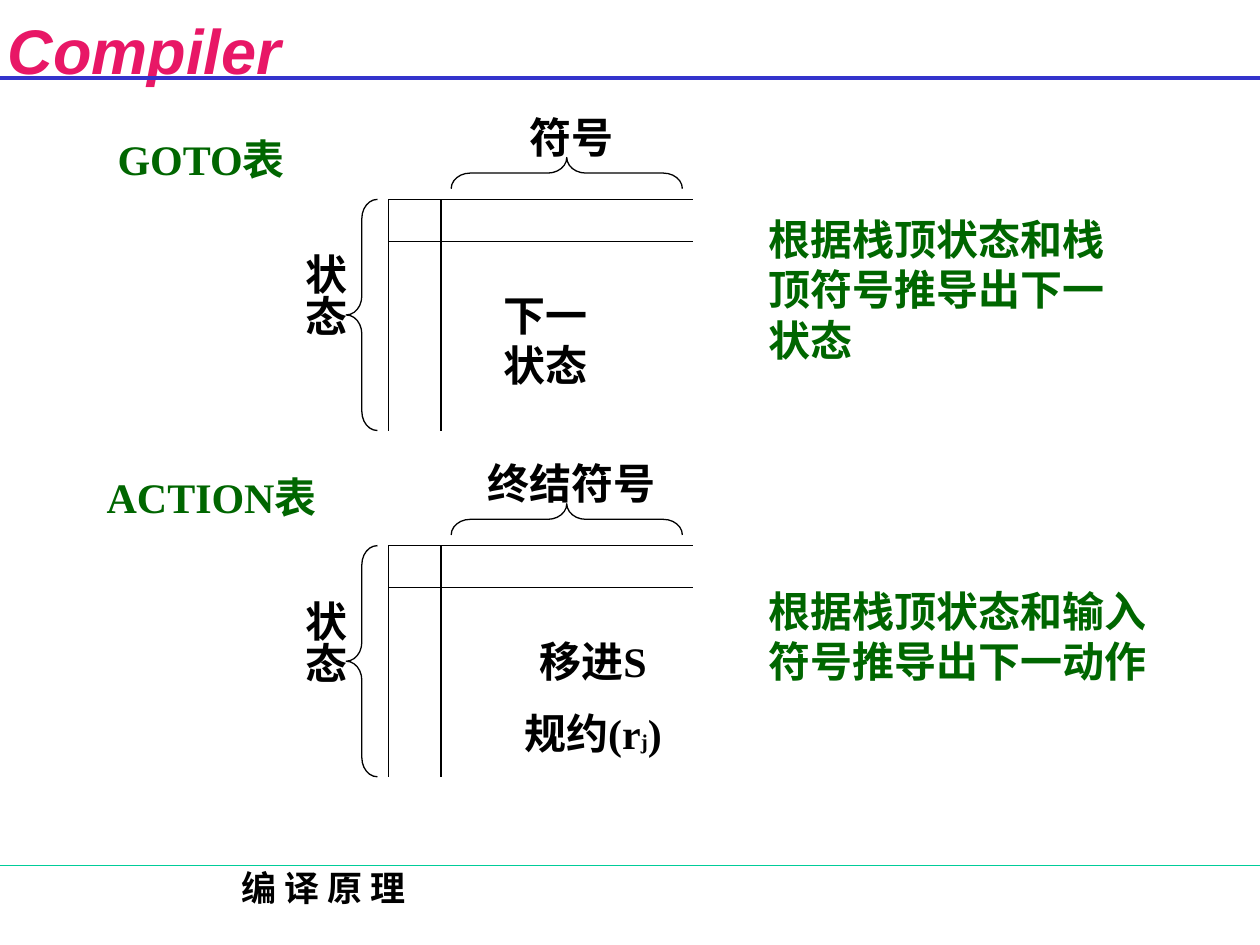
from pptx import Presentation
from pptx.dml.color import RGBColor
from pptx.enum.shapes import MSO_CONNECTOR as Connector, MSO_SHAPE as Shape
from pptx.enum.text import MSO_ANCHOR as Anchor, MSO_AUTO_SIZE as AutoSize, PP_ALIGN as Align
from pptx.oxml.ns import qn
from pptx.util import Cm, Pt

WIDTH, HEIGHT = 25.4, 19.05
BLACK, GREEN, PINK = "000000", "006600", "E81766"
BLUE, TEAL = "3333CC", "00CC99"


def color(hex_text):
    return RGBColor.from_string(hex_text)


class SlideBuilder:
    """Holds the text style and the current slide; lengths are centimetres."""

    font_name = "Times New Roman"
    font_size = 24

    def __init__(self, slide):
        self.slide = slide

    def title(self, text, left, top, width, height):
        shape = self.slide.shapes.title
        shape.left, shape.top, shape.width, shape.height = map(Cm, (left, top, width, height))
        frame = shape.text_frame
        frame.text = text
        frame.word_wrap = False
        frame.auto_size = AutoSize.NONE
        frame.vertical_anchor = Anchor.TOP
        frame.margin_left = frame.margin_right = frame.margin_top = frame.margin_bottom = 0
        paragraph = frame.paragraphs[0]
        paragraph.alignment = Align.CENTER
        self.style(paragraph, PINK, 36, "Arial")
        paragraph.font.italic = True

    def style(self, paragraph, hex_text, size=None, name=None):
        font = paragraph.font
        font.name = name or self.font_name
        font.size = Pt(size or self.font_size)
        font.bold = True
        font.color.rgb = color(hex_text)

    def text(self, lines, left, top, width, height, hex_text=BLACK, size=None,
             align=Align.CENTER, anchor=Anchor.TOP, gap=0, vertical=False):
        """Each line is a string or a list of (text, size) runs."""
        box = self.slide.shapes.add_textbox(Cm(left), Cm(top), Cm(width), Cm(height))
        frame = box.text_frame
        frame.word_wrap = True
        frame.vertical_anchor = anchor
        if anchor == Anchor.TOP:
            frame.auto_size = AutoSize.SHAPE_TO_FIT_TEXT
        if vertical:
            frame._txBody.find(qn("a:bodyPr")).set("vert", "eaVert")
        for index, line in enumerate(lines):
            paragraph = frame.add_paragraph() if index else frame.paragraphs[0]
            paragraph.alignment = align
            if index:
                paragraph.space_before = Pt(gap)
            self.style(paragraph, hex_text, size)
            runs = [(line, None)] if isinstance(line, str) else line
            for run_text, run_size in runs:
                run = paragraph.add_run()
                run.text = run_text
                if run_size:
                    run.font.size = Pt(run_size)

    def line(self, x1, y1, x2, y2, hex_text=BLACK, weight=0.75):
        connector = self.slide.shapes.add_connector(
            Connector.STRAIGHT, Cm(x1), Cm(y1), Cm(x2), Cm(y2))
        connector.line.color.rgb = color(hex_text)
        connector.line.width = Pt(weight)
        properties = connector._element.spPr
        properties.append(properties.makeelement(qn("a:effectLst"), {}))

    def brace(self, left, top, rotation=0):
        shape = self.slide.shapes.add_shape(
            Shape.LEFT_BRACE, Cm(left), Cm(top), Cm(0.63), Cm(4.66))
        shape.adjustments[0] = 0.61
        shape.rotation = rotation
        shape.shadow.inherit = False
        shape.fill.background()
        shape.line.color.rgb = color(BLACK)
        shape.line.width = Pt(0.75)

    def parse_table(self, top, symbols, entries, entry_width, entry_height):
        """Open grid with a braced column heading and row heading."""
        left, right, bottom = 7.83, 13.97, top + 4.66
        for y in (top, top + 0.85):
            self.line(left, y, right, y)
        for x in (left, 8.89):
            self.line(x, top, x, bottom)
        self.text(entries, 9.73, top + 1.69, entry_width, entry_height, gap=12)
        self.brace(6.98, top)
        self.text(["状态"], 5.66, top + 0.85, 1.52, 2.74, vertical=True)
        self.brace(11.11, top - 2.86, rotation=90)
        self.text([symbols], 9.52, top - 1.9, 4.02, 1.27)

    def note(self, lines, left, top, width, height):
        self.text(lines, left, top, width, height, GREEN,
                  align=Align.LEFT, anchor=Anchor.MIDDLE)


def main():
    presentation = Presentation()
    presentation.slide_width, presentation.slide_height = Cm(WIDTH), Cm(HEIGHT)
    builder = SlideBuilder(presentation.slides.add_slide(presentation.slide_layouts[5]))

    # Header and footer
    builder.title("Compiler", 0, 0.23, 5.82, 1.47)
    builder.line(0, 1.57, WIDTH, 1.57, BLUE, 2.25)
    builder.text(["编 译 原 理"], 1.27, 17.35, 10.52, 1.27, size=20)
    builder.line(0, 17.45, WIDTH, 17.45, TEAL)

    # GOTO table
    goto_top = 4.02
    builder.note(["GOTO表"], 2.12, 2.34, 5, 1.7)
    builder.parse_table(goto_top, "符号", ["下一状态"], 2.54, 2.29)
    builder.note(["根据栈顶状态和栈", "顶符号推导出下一", "状态"],
                 15.24, goto_top + 0.22, 8.4, 3.18)

    # ACTION table
    action_top = 11
    builder.note(["ACTION表"], 1.9, 9.17, 5.6, 1.7)
    builder.parse_table(action_top, "终结符号",
                        ["移进S", [("规约(r", None), ("j", 12), (")", None)]], 4.45, 2.79)
    builder.note(["根据栈顶状态和输入", "符号推导出下一动作"],
                 15.24, action_top + 0.22, 8.4, 3.18)

    presentation.save("out.pptx")


if __name__ == "__main__":
    main()
